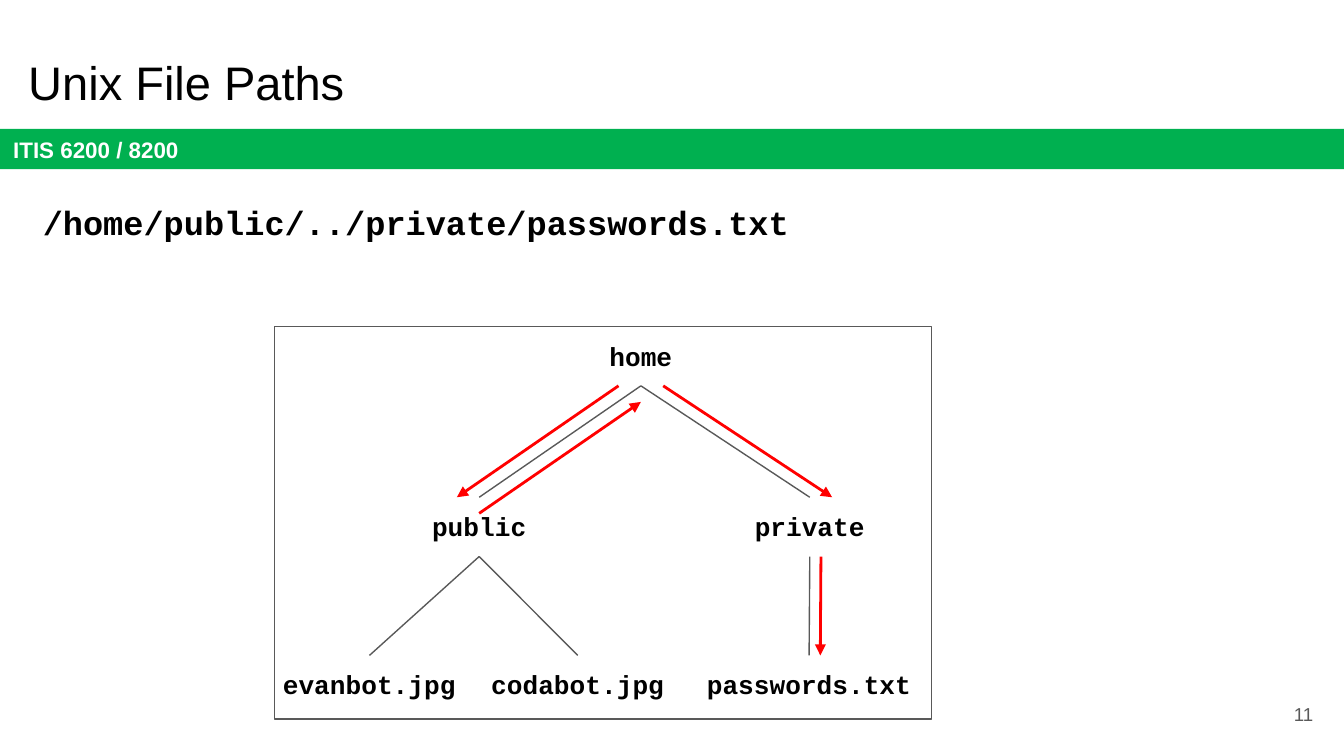
from dataclasses import dataclass
from typing import NamedTuple

from lxml.etree import SubElement
from pptx import Presentation
from pptx.dml.color import RGBColor
from pptx.enum.shapes import MSO_CONNECTOR, MSO_SHAPE
from pptx.enum.text import MSO_ANCHOR, MSO_AUTO_SIZE, PP_ALIGN
from pptx.oxml.ns import qn
from pptx.util import Inches, Pt


@dataclass(frozen=True)
class Theme:
    """Colours, fonts and type sizes of the deck."""
    ink: str = "000000"
    paper: str = "FFFFFF"
    banner: str = "00B050"
    muted: str = "595959"
    trace: str = "FF0000"
    sans: str = "Arial"
    mono: str = "Courier New"
    title: float = 25.2
    path_text: float = 18
    node: float = 14
    course: float = 12
    number: float = 10
    thin: float = 0.75
    thick: float = 1.5


class Box(NamedTuple):
    """A rectangle in inches."""
    left: float
    top: float
    width: float
    height: float

    def point(self, across, down):
        """Return the point at the given percentages of the box."""
        return self.left + self.width * across / 100, self.top + self.height * down / 100

    def emu(self):
        """Return the box as slide lengths."""
        return [Inches(value) for value in self]


class Node(NamedTuple):
    """A tree entry: centre, row top and width in percent of the tree box."""
    centre: float
    top: float
    width: float


THEME = Theme()
SLIDE = Box(0, 0, 10, 10 * 9 / 16)
NODE_HEIGHT = 15.1
ROWS = (0, 43.5, 83.8)
NODES = {
    "home": Node(55.8, ROWS[0], 14.3),
    "public": Node(31.2, ROWS[1], 19.6),
    "private": Node(81.5, ROWS[1], 22.5),
    "evanbot.jpg": Node(14.5, ROWS[2], 30.5),
    "codabot.jpg": Node(46.2, ROWS[2], 30.5),
    "passwords.txt": Node(81.4, ROWS[2], 37.2),
}
BRANCHES = (
    ("home", "public"),
    ("home", "private"),
    ("public", "evanbot.jpg"),
    ("public", "codabot.jpg"),
    ("private", "passwords.txt"),
)
STEPS = (
    ("home", "public", -3.4, 0),
    ("public", "home", 0, 4.1),
    ("home", "private", 3.4, 0),
    ("private", "passwords.txt", 1.7, 0),
)


def write(shape, text, size, colour=THEME.ink, font=THEME.sans, bold=False,
          align=PP_ALIGN.LEFT, anchor=MSO_ANCHOR.TOP, wrap=True, spacing=None):
    """Put one formatted paragraph into a shape."""
    frame = shape.text_frame
    frame.text = text
    margins = {f"margin_{side}": Inches(0.1) for side in ("left", "top", "right", "bottom")}
    settings = {"auto_size": MSO_AUTO_SIZE.NONE, "word_wrap": wrap, "vertical_anchor": anchor}
    para = frame.paragraphs[0]
    span = para.runs[0]
    formats = (
        (frame, margins | settings),
        (para, {"alignment": align} | (spacing or {})),
        (span.font, {"name": font, "size": Pt(size), "bold": bold}),
    )
    for target, values in formats:
        for name, value in values.items():
            setattr(target, name, value)
    span.font.color.rgb = RGBColor.from_string(colour)


def add_text(page, box, text, size, **style):
    """Add a text box filled with one paragraph."""
    write(page.shapes.add_textbox(*box.emu()), text, size, **style)


def add_rectangle(page, box):
    """Add a rectangle without fill, line or shadow."""
    shape = page.shapes.add_shape(MSO_SHAPE.RECTANGLE, *box.emu())
    shape.shadow.inherit = False
    shape.fill.background()
    shape.line.fill.background()
    return shape


def set_line(shape, colour, width):
    """Colour and size the line of a shape."""
    shape.line.color.rgb = RGBColor.from_string(colour)
    shape.line.width = Pt(width)


def add_line(page, start, end, colour, width, arrow=False):
    """Connect two points, with an optional arrowhead at the end."""
    ends = [Inches(value) for value in (*start, *end)]
    line = page.shapes.add_connector(MSO_CONNECTOR.STRAIGHT, *ends)
    set_line(line, colour, width)
    properties = line._element.spPr
    if arrow:
        SubElement(properties.get_or_add_ln(), qn("a:tailEnd"), type="triangle")
    SubElement(properties, qn("a:effectLst"))


def draw_banner(page, box):
    """Draw the course banner."""
    banner = add_rectangle(page, box)
    banner.fill.solid()
    banner.fill.fore_color.rgb = RGBColor.from_string(THEME.banner)
    write(banner, "ITIS 6200 / 8200", THEME.course, colour=THEME.paper,
          bold=True, anchor=MSO_ANCHOR.MIDDLE)


def place_title(page, box):
    """Move and fill the title placeholder."""
    title = page.shapes.title
    title.left, title.top, title.width, title.height = box.emu()
    write(title, "Unix File Paths", THEME.title)


def edge_points(box, start, end, across=0, down=0):
    """Return the facing edge centres of two nodes, shifted in percent."""
    first, second = NODES[start], NODES[end]
    descends = first.top < second.top
    return [
        box.point(node.centre + across, node.top + down + (NODE_HEIGHT if is_upper else 0))
        for node, is_upper in ((first, descends), (second, not descends))
    ]


def draw_tree(page, box):
    """Draw the framed directory tree and the traversal over it."""
    set_line(add_rectangle(page, box), THEME.muted, THEME.thin)
    for name, node in NODES.items():
        corner = box.point(node.centre - node.width / 2, node.top)
        size = (box.width * node.width / 100, box.height * NODE_HEIGHT / 100)
        add_text(page, Box(*corner, *size), name, THEME.node, font=THEME.mono,
                 bold=True, align=PP_ALIGN.CENTER, wrap=False)
    for branch in BRANCHES:
        add_line(page, *edge_points(box, *branch), THEME.muted, THEME.thin)
    for step in STEPS:
        add_line(page, *edge_points(box, *step), THEME.trace, THEME.thick, arrow=True)


def build_page(deck):
    """Build the file path slide."""
    page = deck.slides.add_slide(deck.slide_layouts[5])
    draw_banner(page, Box(0, 0.96, SLIDE.width, 0.3))
    place_title(page, Box(0.11, 0.3, 9.32, 0.63))
    add_text(page, Box(0.22, 1.36, 8.5, 0.99), "/home/public/../private/passwords.txt",
             THEME.path_text, font=THEME.mono, bold=True,
             spacing={"line_spacing": 1.15, "space_after": Pt(12)})
    add_text(page, Box(9.27, 5.1, 0.6, 0.43), "11", THEME.number, colour=THEME.muted,
             align=PP_ALIGN.RIGHT, anchor=MSO_ANCHOR.MIDDLE)
    draw_tree(page, Box(2.04, 2.43, 4.89, 2.92))


def main():
    """Create and save the deck."""
    deck = Presentation()
    deck.slide_width, deck.slide_height = Inches(SLIDE.width), Inches(SLIDE.height)
    build_page(deck)
    deck.save("out.pptx")


if __name__ == "__main__":
    main()
